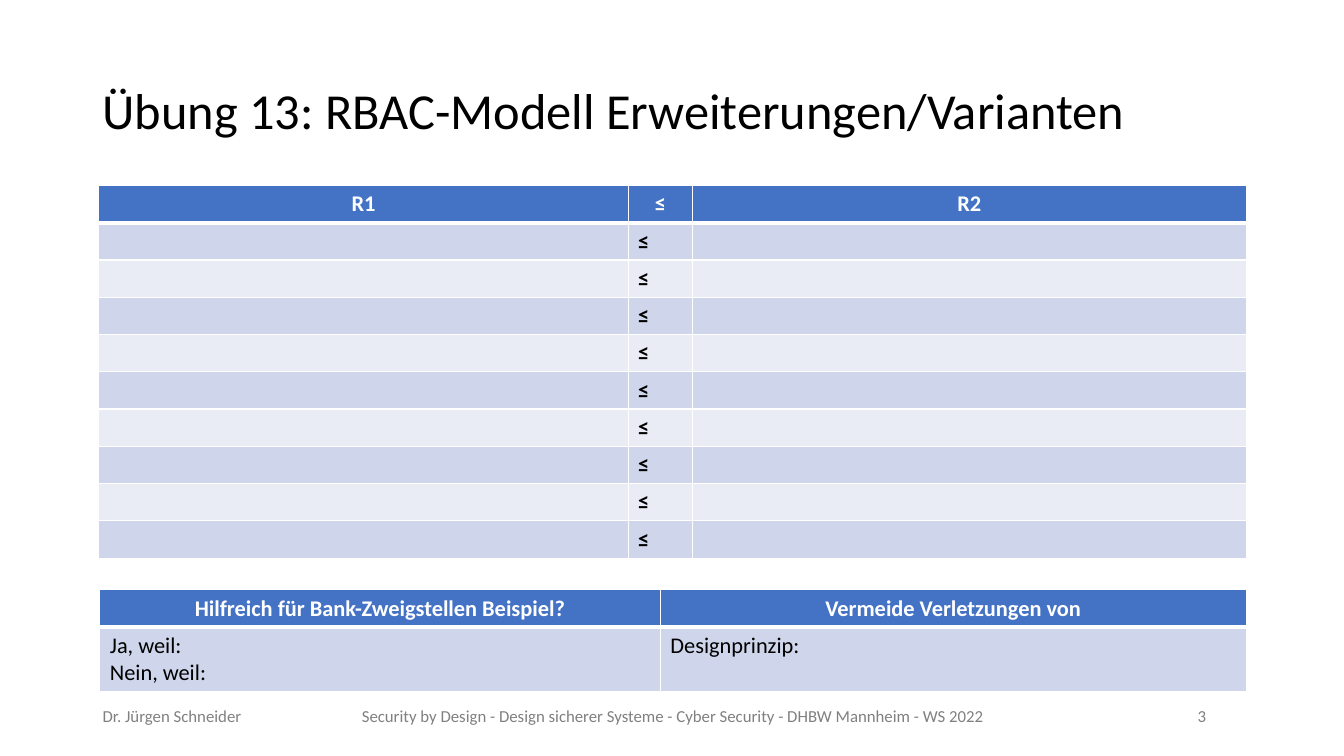
from lxml import etree
from pptx import Presentation
from pptx.dml.color import RGBColor
from pptx.enum.text import MSO_ANCHOR as Anchor, PP_ALIGN as Align
from pptx.oxml.ns import qn
from pptx.util import Inches, Pt

FONT = "Calibri"
BLACK, WHITE, GRAY = "000000", "FFFFFF", "808080"
HEADER_BLUE = "4472C4"
BANDS = ("CFD5EA", "E9EBF5")


def color(hex_text):
    return RGBColor.from_string(hex_text)


class SlideBuilder:
    """Holds the style and the current slide."""

    def __init__(self, presentation):
        self.slide = presentation.slides.add_slide(presentation.slide_layouts[6])

    def format_paragraph(self, paragraph, size, hex_text, bold=False):
        for run in paragraph.runs:
            run.font.name = FONT
            run.font.size = Pt(size)
            run.font.bold = bold
            run.font.color.rgb = color(hex_text)

    def text(self, content, left, top, width, height, size, hex_text,
             anchor=Anchor.TOP, line_spacing=None):
        box = self.slide.shapes.add_textbox(
            Inches(left), Inches(top), Inches(width), Inches(height))
        frame = box.text_frame
        frame.word_wrap = True
        frame.vertical_anchor = anchor
        frame.text = content
        paragraph = frame.paragraphs[0]
        paragraph.line_spacing = line_spacing
        self.format_paragraph(paragraph, size, hex_text)

    def borders(self, cell, top, bottom):
        properties = cell._tc.get_or_add_tcPr()
        for edge, points in (("L", 1), ("R", 1), ("T", top), ("B", bottom)):
            line = etree.SubElement(properties, qn(f"a:ln{edge}"), w=str(Pt(points)))
            fill = etree.SubElement(line, qn("a:solidFill"))
            etree.SubElement(fill, qn("a:srgbClr"), val=WHITE)

    def cell(self, cell, content, row, bold_body):
        is_header = row == 0
        self.borders(cell, top=3 if row == 1 else 1, bottom=3 if is_header else 1)
        cell.fill.solid()
        cell.fill.fore_color.rgb = color(
            HEADER_BLUE if is_header else BANDS[(row - 1) % 2])
        paragraph = cell.text_frame.paragraphs[0]
        if not content:
            # Keeps empty cells at the text size, so rows stay low
            etree.SubElement(paragraph._p, qn("a:endParaRPr"), sz="1600")
            return
        paragraph.text = content
        if is_header:
            paragraph.alignment = Align.CENTER
        self.format_paragraph(paragraph, 16, WHITE if is_header else BLACK,
                              is_header or bold_body)

    def table(self, rows, left, top, column_widths, row_heights, bold_body=False):
        table = self.slide.shapes.add_table(
            len(rows), len(column_widths), Inches(left), Inches(top),
            Inches(sum(column_widths)), Inches(sum(row_heights))).table
        for column, width in zip(table.columns, column_widths):
            column.width = Inches(width)
        for row, (contents, height) in enumerate(zip(rows, row_heights)):
            table.rows[row].height = Inches(height)
            for column, content in enumerate(contents):
                self.cell(table.cell(row, column), content, row, bold_body)


presentation = Presentation()
presentation.slide_width = Inches(13.33)
presentation.slide_height = Inches(7.5)
builder = SlideBuilder(presentation)

# Title
builder.text("Übung 13: RBAC-Modell Erweiterungen/Varianten",
             0.92, 0.4, 11.5, 1.45, 36, BLACK, Anchor.MIDDLE, 0.9)

# Role hierarchy: header and nine rows to fill in
role_rows = [("R1", "≤", "R2")] + [("", "≤", "")] * 9
builder.table(role_rows, 0.98, 1.84, (5.25, 0.64, 5.49),
              [0.37] * len(role_rows), bold_body=True)

# Assessment questions
assessment_rows = [
    ("Hilfreich für Bank-Zweigstellen Beispiel?", "Vermeide Verletzungen von"),
    ("Ja, weil:\vNein, weil:", "Designprinzip:"),
]
builder.table(assessment_rows, 0.99, 5.85, (5.56, 5.81), (0.37, 0.64))

# Footer: author, course, slide number
for content, left, width in (
    ("Dr. Jürgen Schneider", 0.92, 1.73),
    ("Security by Design - Design sicherer Systeme - Cyber Security"
     " - DHBW Mannheim - WS 2022", 3.49, 7.15),
    ("3", 11.78, 0.64),
):
    builder.text(content, left, 6.95, width, 0.4, 12, GRAY)

presentation.save("out.pptx")
